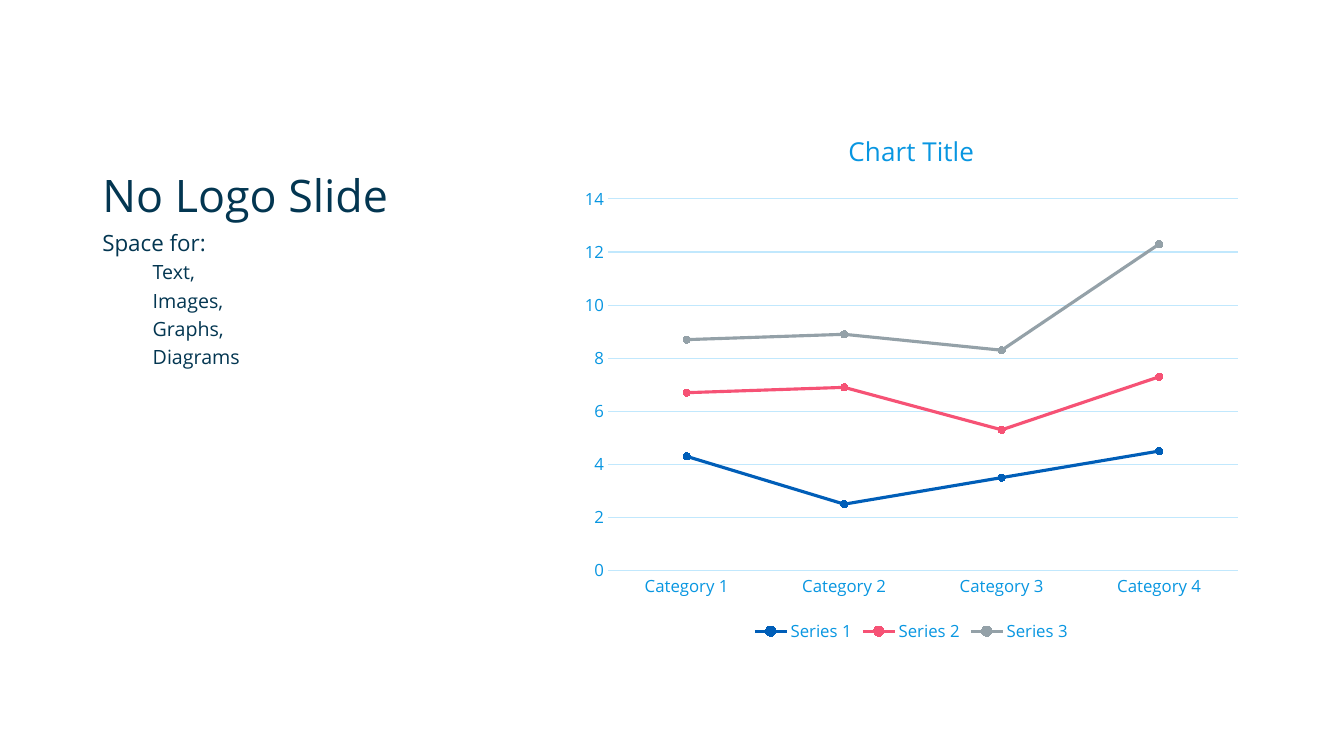
"""Build a slide with a short text outline beside a stacked line chart."""
import pptx
import pptx.chart.data
import pptx.dml.color
import pptx.enum.chart
import pptx.enum.text
import pptx.util

PX = 9525
FONT = "Open Sans"
NAVY, SKY, PALE = "033651", "0896E1", "C1E8FD"


def rgb(value):
    return pptx.dml.color.RGBColor.from_string(value)


def style(font, size, color):
    font.name = FONT
    font.size = pptx.util.Pt(size)
    font.bold = False
    font.color.rgb = rgb(color)


prs = pptx.Presentation()
prs.slide_width, prs.slide_height = 1280 * PX, 720 * PX
s = prs.slides.add_slide(prs.slide_layouts[6])

tf = s.shapes.add_textbox(88 * PX, 48 * PX, 413 * PX, 168 * PX).text_frame
tf.word_wrap = True
tf.vertical_anchor = pptx.enum.text.MSO_ANCHOR.BOTTOM
p = tf.paragraphs[0]
p.text = "No Logo Slide"
p.line_spacing = 0.9
style(p.font, 32, NAVY)

tf = s.shapes.add_textbox(88 * PX, 216 * PX, 413 * PX, 400 * PX).text_frame
tf.word_wrap = True
tf.text = "Space for:\nText,\nImages,\nGraphs,\nDiagrams"
for i, p in enumerate(tf.paragraphs):
    p.line_spacing = 0.9
    p.space_before = pptx.util.Pt(5 if i else 10)
    style(p.font, 14 if i else 16, NAVY)
    if i:
        p.level = 1
        p._p.get_or_add_pPr().set("marL", str(48 * PX))

data = pptx.chart.data.CategoryChartData()
data.categories = [f"Category {n}" for n in range(1, 5)]
series = [
    ("Series 1", (4.3, 2.5, 3.5, 4.5), "005EB8"),
    ("Series 2", (2.4, 4.4, 1.8, 2.8), "F65275"),
    ("Series 3", (2, 2, 3, 5), "94A1A8"),
]
for name, values, color in series:
    data.add_series(name, values)
chart = s.shapes.add_chart(
    pptx.enum.chart.XL_CHART_TYPE.LINE_MARKERS_STACKED,
    544 * PX, 104 * PX, 648 * PX, 512 * PX, data).chart
style(chart.font, 10, NAVY)

chart.has_title = True
p = chart.chart_title.text_frame.paragraphs[0]
p.text = "Chart Title"
style(p.font, 18.6, SKY)
chart.chart_title.include_in_layout = False

chart.has_legend = True
chart.legend.position = pptx.enum.chart.XL_LEGEND_POSITION.BOTTOM
chart.legend.include_in_layout = False
style(chart.legend.font, 12, SKY)

for axis in (chart.category_axis, chart.value_axis):
    axis.major_tick_mark = pptx.enum.chart.XL_TICK_MARK.NONE
    axis.minor_tick_mark = pptx.enum.chart.XL_TICK_MARK.NONE
    style(axis.tick_labels.font, 12, SKY)
chart.value_axis.has_major_gridlines = True
chart.value_axis.format.line.fill.background()
for line in (chart.category_axis.format.line,
             chart.value_axis.major_gridlines.format.line):
    line.color.rgb = rgb(PALE)
    line.width = pptx.util.Pt(0.75)

plot = chart.plots[0]
plot.vary_by_categories = False
for ser, (name, values, color) in zip(plot.series, series):
    ser.smooth = False
    ser.format.line.color.rgb = rgb(color)
    ser.format.line.width = pptx.util.Pt(2.25)
    ser.marker.style = pptx.enum.chart.XL_MARKER_STYLE.CIRCLE
    ser.marker.size = 5
    for fmt in (ser.marker.format.fill, ser.marker.format.line.fill):
        fmt.solid()
        fmt.fore_color.rgb = rgb(color)

prs.save("out.pptx")
